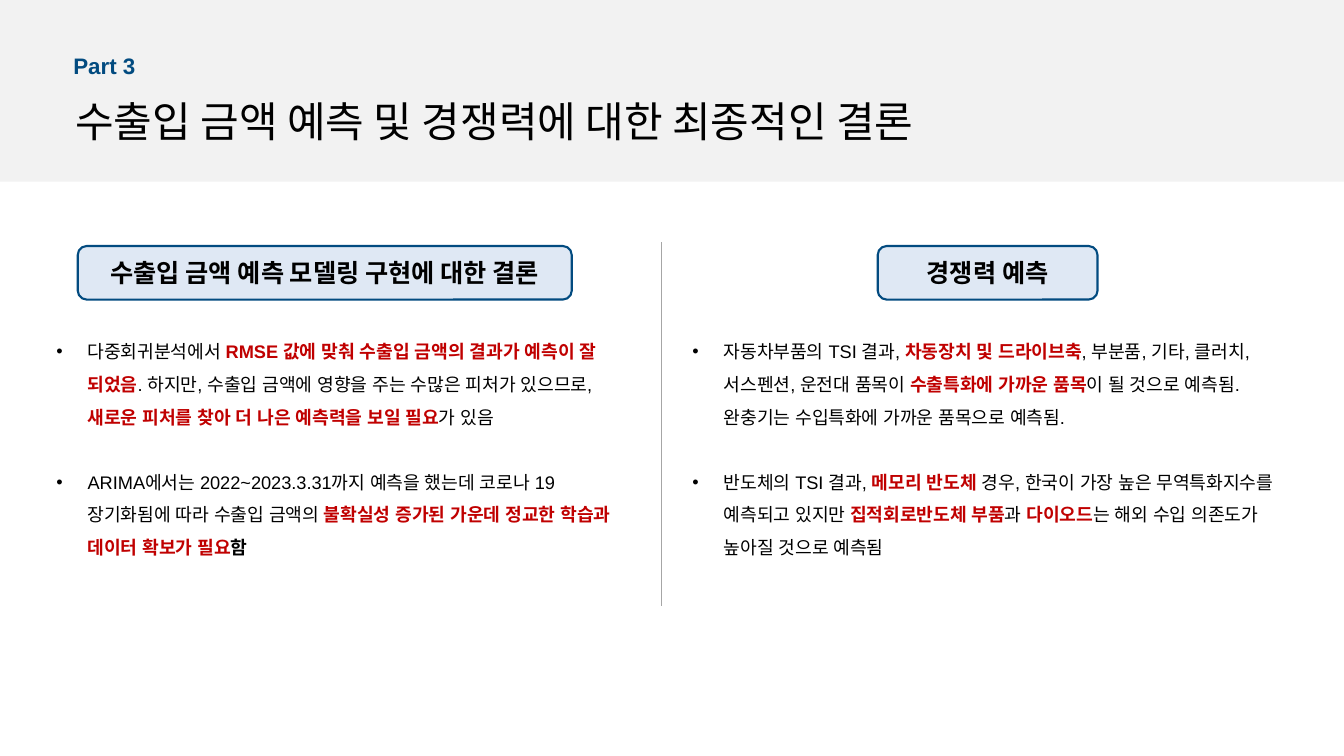
from lxml.etree import SubElement
from pptx import Presentation
from pptx.dml.color import RGBColor
from pptx.enum.shapes import MSO_CONNECTOR, MSO_SHAPE
from pptx.enum.text import MSO_ANCHOR, PP_ALIGN
from pptx.oxml.ns import qn
from pptx.util import Cm, Pt

COLORS = {"band": "F2F2F2", "navy": "024B80", "pale": "DFE8F4",
          "text": "000000", "key": "C00000", "rule": "A6A6A6"}
LATIN, KOREAN = "Arial", "Noto Sans CJK KR"
BODY_SIZE, LINE_SPACING, ITEM_GAP, INDENT = 13, 1.5, 23, 0.79

# Each run is (text, style): "" plain, "key" red and bold, "bold" black and bold
MODEL_ITEMS = [
    [("다중회귀분석에서 ", ""),
     ("RMSE 값에 맞춰 수출입 금액의 결과가 예측이 잘 되었음", "key"),
     (". 하지만, 수출입 금액에 영향을 주는 수많은 피처가 있으므로, ", ""),
     ("새로운 피처를 찾아 더 나은 예측력을 보일 필요", "key"),
     ("가 있음", "")],
    [("ARIMA에서는 2022~2023.3.31까지 예측을 했는데 코로나 19 장기화됨에 따라 수출입 금액의 ", ""),
     ("불확실성 증가된 가운데 정교한 학습과 데이터 확보가 필요", "key"),
     ("함", "bold")],
]
COMPETITION_ITEMS = [
    [("자동차부품의 TSI 결과, ", ""),
     ("차동장치 및 드라이브축", "key"),
     (", 부분품, 기타, 클러치, 서스펜션, 운전대 품목이 ", ""),
     ("수출특화에 가까운 품목", "key"),
     ("이 될 것으로 예측됨. 완충기는 수입특화에 가까운 품목으로 예측됨.", "")],
    [("반도체의 TSI 결과, ", ""),
     ("메모리 반도체 ", "key"),
     ("경우, 한국이 가장 높은 무역특화지수를 예측되고 있지만 ", ""),
     ("집적회로반도체 부품", "key"),
     ("과 ", ""),
     ("다이오드", "key"),
     ("는 해외 수입 의존도가 높아질 것으로 예측됨", "")],
]


def rgb(name):
    return RGBColor.from_string(COLORS[name])


def add_text(p, text, size=BODY_SIZE, font=LATIN, color="text", bold=False):
    r = p.add_run()
    r.text = text
    r.font.size, r.font.name, r.font.bold = Pt(size), font, bold
    r.font.color.rgb = rgb(color)
    SubElement(r.font._element, qn("a:ea")).set("typeface", font)


def add_box(slide, left, top, width, height):
    tf = slide.shapes.add_textbox(Cm(left), Cm(top), Cm(width), Cm(height)).text_frame
    tf.word_wrap = True
    return tf


def add_panel(slide, kind, left, top, width, height, fill, line=None):
    sp = slide.shapes.add_shape(kind, Cm(left), Cm(top), Cm(width), Cm(height))
    sp.shadow.inherit = False
    sp.fill.solid()
    sp.fill.fore_color.rgb = rgb(fill)
    if line:
        sp.line.color.rgb = rgb(line)
        sp.line.width = Pt(1.5)
    else:
        sp.line.fill.background()
    return sp


def add_header(slide, left, top, width, height):
    add_panel(slide, MSO_SHAPE.RECTANGLE, left, top, width, height, "band")
    part = add_box(slide, left + 1.6, top + 1.19, 2.8, 0.94)
    add_text(part.paragraphs[0], "Part 3", size=16, color="navy", bold=True)
    title = add_box(slide, left + 1.65, top + 2.29, 24.26, 1.55)
    add_text(title.paragraphs[0], "수출입 금액 예측 및 경쟁력에 대한 최종적인 결론",
             size=30, font=KOREAN)


def add_bullet(p):
    pPr = p._p.get_or_add_pPr()
    pPr.set("marL", str(Cm(INDENT)))
    pPr.set("indent", str(-Cm(INDENT)))
    SubElement(pPr, qn("a:buFont")).set("typeface", LATIN)
    SubElement(pPr, qn("a:buChar")).set("char", "•")


def add_column(slide, left, top, width, height, heading, label_offset, label_width, items):
    """Place a heading label above a bulleted list."""
    label = add_panel(slide, MSO_SHAPE.ROUNDED_RECTANGLE, left + label_offset, top,
                      label_width, 1.35, "pale", "navy")
    tf = label.text_frame
    tf.vertical_anchor = MSO_ANCHOR.MIDDLE
    tf.paragraphs[0].alignment = PP_ALIGN.CENTER
    add_text(tf.paragraphs[0], heading, size=18, font=KOREAN, bold=True)

    tf = add_box(slide, left, top + 1.98, width, height - 1.98)
    for i, runs in enumerate(items):
        p = tf.add_paragraph() if i else tf.paragraphs[0]
        p.line_spacing = LINE_SPACING
        if i:
            p.space_before = Pt(ITEM_GAP)
        add_bullet(p)
        for text, style in runs:
            add_text(p, text, bold=bool(style), color="key" if style == "key" else "text")


def add_divider(slide, x, top, bottom):
    line = slide.shapes.add_connector(MSO_CONNECTOR.STRAIGHT, Cm(x), Cm(top), Cm(x), Cm(bottom))
    line.line.color.rgb = rgb("rule")
    line.line.width = Pt(0.5)
    SubElement(line._element.spPr, qn("a:effectLst"))


def main():
    prs = Presentation()
    prs.slide_width, prs.slide_height = Cm(33.87), Cm(19.05)
    slide = prs.slides.add_slide(prs.slide_layouts[6])
    add_header(slide, 0, 0, 33.87, 4.58)
    add_column(slide, 1.17, 6.2, 14.66, 7.97, "수출입 금액 예측 모델링 구현에 대한 결론",
               0.79, 12.45, MODEL_ITEMS)
    add_column(slide, 17.2, 6.2, 15.88, 7.97, "경쟁력 예측",
               4.92, 5.54, COMPETITION_ITEMS)
    add_divider(slide, 16.66, 6.1, 15.27)
    prs.save("out.pptx")


if __name__ == "__main__":
    main()
